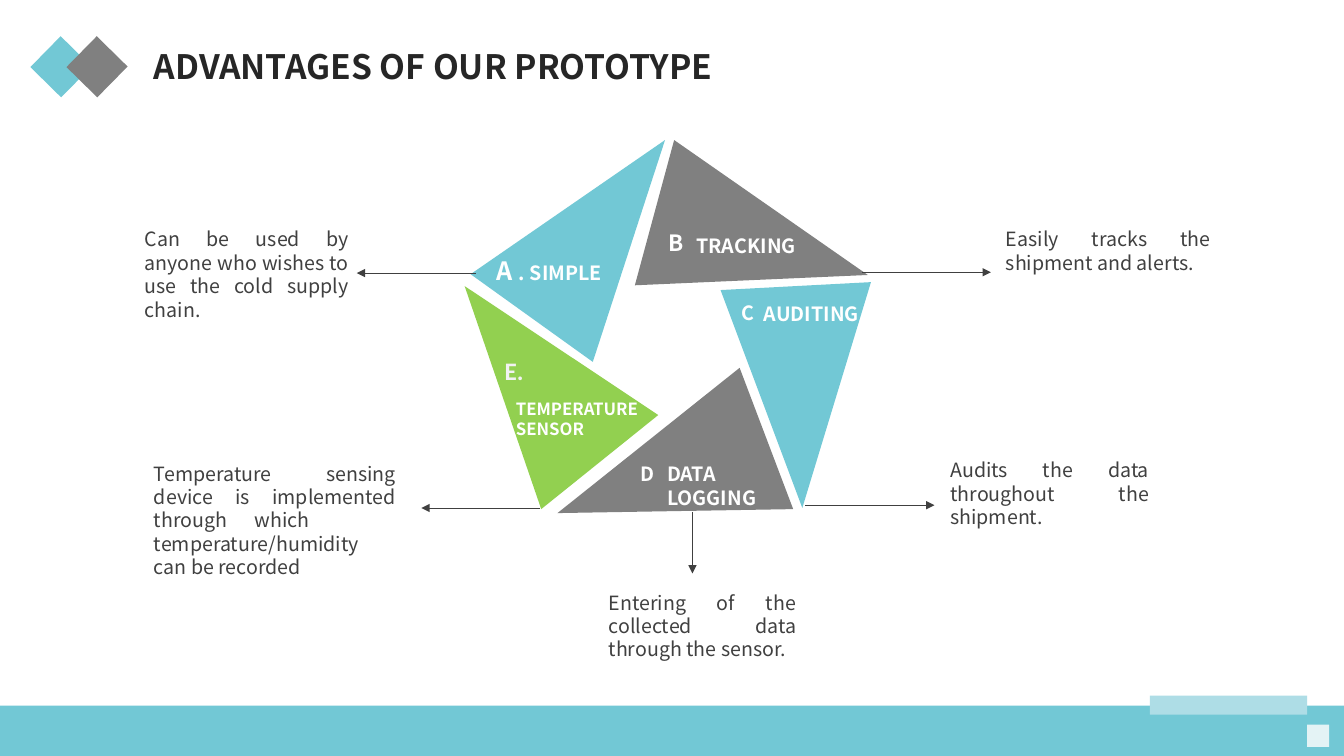
from lxml import etree
from pptx import Presentation
from pptx.dml.color import RGBColor
from pptx.enum.shapes import MSO_CONNECTOR, MSO_SHAPE
from pptx.enum.text import PP_ALIGN
from pptx.oxml import parse_xml
from pptx.oxml.ns import nsdecls, qn
from pptx.util import Cm, Pt

RECTANGLE = MSO_SHAPE.RECTANGLE
STRAIGHT = MSO_CONNECTOR.STRAIGHT
LEFT, JUSTIFY = PP_ALIGN.LEFT, PP_ALIGN.JUSTIFY

FONT = "Noto Sans CJK SC"
LINE_HEIGHT = 1.19
COLORS = {
    "teal": "72C8D5",
    "light_teal": "AEDDE6",
    "pale_teal": "E4F3F5",
    "gray": "808080",
    "green": "92D050",
    "white": "FFFFFF",
    "off_white": "F2F2F2",
    "title": "262626",
    "body": "404040",
}

# Corners of each blade, in cm from the top left of the pentagon
BLADES = [
    ("teal", [(5.05, 0), (3.23, 5.59), (0.15, 3.38)]),
    ("gray", [(10.16, 3.4), (4.29, 3.66), (5.28, 0)]),
    ("teal", [(8.51, 9.27), (6.45, 3.78), (10.24, 3.58)]),
    ("gray", [(2.34, 9.4), (6.93, 5.74), (8.28, 9.3)]),
    ("green", [(0, 3.68), (4.88, 6.93), (1.93, 9.3)]),
]
# Words, point size and box within the pentagon
BLADE_LABELS = [
    ("A", 18, (0.56, 2.79, 1.32, 1.02)),
    (". SIMPLE", 14, (1.12, 2.92, 3.1, 0.86)),
    ("B", 16, (4.88, 2.13, 1.32, 0.94)),
    ("TRACKING", 14, (5.59, 2.24, 3.89, 0.86)),
    ("C", 14, (6.73, 3.94, 1.32, 0.86)),
    ("AUDITING", 14, (7.29, 3.96, 3.25, 0.86)),
    ("D", 14, (4.17, 7.98, 1.32, 0.86)),
    ("DATA LOGGING", 14, (4.85, 8, 3.07, 1.45)),
    ("TEMPERATURE SENSOR", 12, (1.04, 6.4, 4.67, 1.27)),
]
# Words, box, and arrow start and end measured from that box
CALLOUTS = [
    ("Can be used by anyone who wishes to use the cold supply chain.",
     (3.4, 5.61, 5.64, 2.64), (8.59, 1.27), (5.59, 1.27)),
    ("Easily tracks the shipment and alerts.",
     (25.1, 5.61, 5.66, 1.45), (-3.38, 1.25), (-0.13, 1.25)),
    ("Audits the data throughout the shipment.",
     (23.7, 11.43, 5.51, 2.06), (-3.41, 1.3), (-0.15, 1.3)),
    ("Entering of the collected \tdata through the sensor.",
     (15.09, 14.76, 5.23, 2.06), (2.36, -1.86), (2.36, -0.31)),
    ("Temperature sensing device is implemented through\twhich "
     "temperature/humidity can be recorded",
     (3.63, 11.51, 6.6, 3.25), (9.98, 1.29), (6.99, 1.29)),
]


def rgb(color):
    return RGBColor.from_string(COLORS[color])


def paint(shape, color):
    shape.shadow.inherit = False
    shape.fill.solid()
    shape.fill.fore_color.rgb = rgb(color)
    shape.line.fill.background()


def add_block(slide, box, color, rotation=0):
    block = slide.shapes.add_shape(RECTANGLE, *map(Cm, box))
    block.rotation = rotation
    paint(block, color)


def add_words(slide, box, words, size, color, bold=False,
              align=JUSTIFY, font=FONT, wrap=True):
    frame = slide.shapes.add_textbox(*map(Cm, box)).text_frame
    frame.word_wrap = wrap
    paragraph = frame.paragraphs[0]
    paragraph.alignment = align
    paragraph.line_spacing = Pt(round(size * LINE_HEIGHT, 1))
    run = paragraph.add_run()
    run.text = words
    run.font.name = font
    run.font.size = Pt(size)
    run.font.bold = bold
    run.font.color.rgb = rgb(color)


def add_footer(slide, box):
    left, top, width, _ = box
    add_block(slide, box, "teal")
    add_block(slide, (left + width - 4.89, top - 0.25, 3.96, 0.48), "light_teal")
    add_block(slide, (left + width - 0.93, top + 0.48, 0.56, 0.56), "pale_teal")


def add_header(slide, box):
    left, top, width, height = box
    for place, color in enumerate(("teal", "gray")):
        diamond = (left + place * 0.91, top + 0.1, 1.09, 1.09)
        add_block(slide, diamond, color, rotation=44.5)
    add_words(slide, (left + 2.64, top, width - 2.64, height),
              "ADVANTAGES OF OUR PROTOTYPE", 24, "title", bold=True, align=LEFT)


def add_pentagon(slide, left, top):
    """Place the five triangular blades and their labels."""
    for color, corners in BLADES:
        first, *others = [(Cm(left + x), Cm(top + y)) for x, y in corners]
        outline = slide.shapes.build_freeform(*first)
        outline.add_line_segments(others, close=True)
        paint(outline.convert_to_shape(), color)
    for words, size, (x, y, width, height) in BLADE_LABELS:
        add_words(slide, (left + x, top + y, width, height),
                  words, size, "white", bold=True)
    add_words(slide, (left + 0.76, top + 5.31, 0.99, 1.02), "E.", 18,
              "off_white", bold=True, align=LEFT, font="Calibri", wrap=False)


def add_callout(slide, words, box, start, end):
    """Place a description and the arrow that leads to it."""
    left, top = box[:2]
    ends = [Cm(origin + offset) for point in (start, end)
            for origin, offset in zip((left, top), point)]
    arrow = slide.shapes.add_connector(STRAIGHT, *ends)
    arrow.line.color.rgb = rgb("body")
    arrow.line.width = Pt(0.5)
    etree.SubElement(arrow.line._get_or_add_ln(), qn("a:tailEnd"), type="triangle")
    arrow._element.spPr.append(parse_xml(f"<a:effectLst {nsdecls('a')}/>"))
    add_words(slide, box, words, 14, "body")


def main():
    deck = Presentation()
    deck.slide_width, deck.slide_height = Cm(33.87), Cm(19.05)
    slide = deck.slides.add_slide(deck.slide_layouts[6])
    add_footer(slide, (0, 17.78, 33.87, 1.27))
    add_header(slide, (0.99, 1.04, 23.98, 1.27))
    add_pentagon(slide, 11.71, 3.53)
    for callout in CALLOUTS:
        add_callout(slide, *callout)
    deck.save("out.pptx")


if __name__ == "__main__":
    main()
